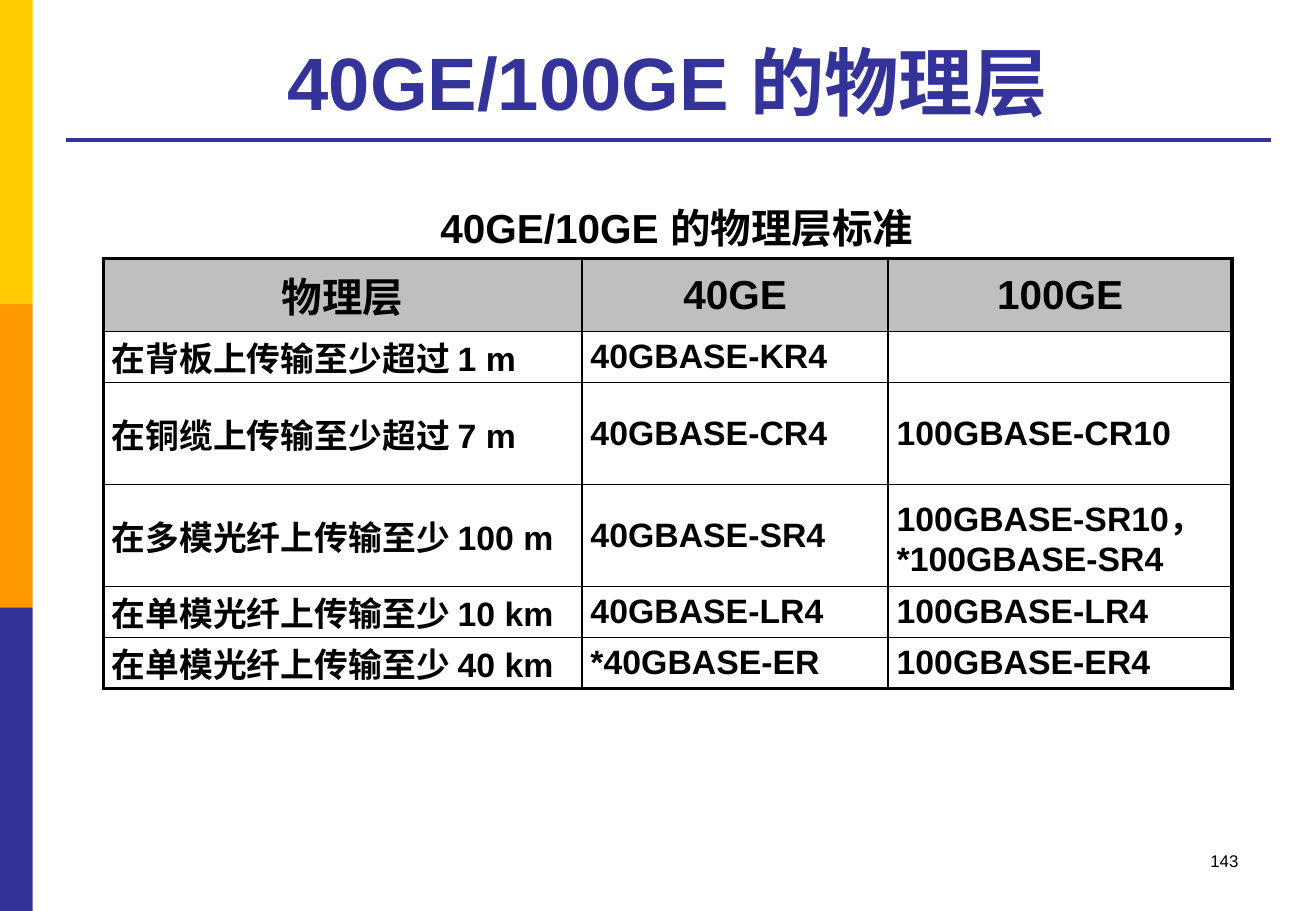
from lxml.etree import SubElement
from pptx import Presentation
from pptx.dml.color import RGBColor
from pptx.enum.shapes import MSO_CONNECTOR, MSO_SHAPE
from pptx.enum.text import MSO_ANCHOR, PP_ALIGN
from pptx.oxml.ns import qn
from pptx.util import Emu, Pt

EMU_PER_PX = 9144  # 100 px to the inch
COLORS = {
    "yellow": "FFCC00",
    "orange": "FF9900",
    "indigo": "333399",
    "header": "BFBFBF",
    "black": "000000",
}
THIN, THICK = 1, 2.25

COLUMN_WIDTHS = [394, 252, 283]
ROW_HEIGHTS = [60, 42, 84, 84, 42, 42]
STANDARDS = [
    ["物理层", "40GE", "100GE"],
    ["在背板上传输至少超过 1 m", "40GBASE-KR4", ""],
    ["在铜缆上传输至少超过 7 m", "40GBASE-CR4", "100GBASE-CR10"],
    ["在多模光纤上传输至少 100 m", "40GBASE-SR4", "100GBASE-SR10，\n*100GBASE-SR4"],
    ["在单模光纤上传输至少 10 km", "40GBASE-LR4", "100GBASE-LR4"],
    ["在单模光纤上传输至少 40 km", "*40GBASE-ER", "100GBASE-ER4"],
]


def px(length):
    return Emu(length * EMU_PER_PX)


def rgb(name):
    return RGBColor.from_string(COLORS[name])


def write_text(frame, text, size=20, color="black", bold=True,
               align=PP_ALIGN.CENTER):
    """Fill a text frame, one paragraph for each line of text."""
    frame.word_wrap = True
    frame.text = text
    for paragraph in frame.paragraphs:
        paragraph.alignment = align
        paragraph.font.size = Pt(size)
        for run in paragraph.runs:
            run.font.name = "Arial"
            run.font.size = Pt(size)
            run.font.bold = bold
            run.font.color.rgb = rgb(color)


def add_text(slide, box, text, anchor=MSO_ANCHOR.TOP, **text_format):
    shape = slide.shapes.add_textbox(*map(px, box))
    shape.text_frame.vertical_anchor = anchor
    write_text(shape.text_frame, text, **text_format)


def add_band(slide, box, color):
    shape = slide.shapes.add_shape(MSO_SHAPE.RECTANGLE, *map(px, box))
    shape.shadow.inherit = False
    shape.fill.solid()
    shape.fill.fore_color.rgb = rgb(color)
    shape.line.fill.background()


def add_rule(slide, left, right, y, color):
    line = slide.shapes.add_connector(
        MSO_CONNECTOR.STRAIGHT, px(left), px(y), px(right), px(y))
    line.line.color.rgb = rgb(color)
    line.line.width = Pt(THICK)
    SubElement(line._element.spPr, qn("a:effectLst"))


def set_borders(cell, **widths):
    """Draw black borders; sides come in the order L, R, T, B."""
    properties = cell._tc.get_or_add_tcPr()
    for side, width in widths.items():
        border = SubElement(properties, qn(f"a:ln{side}"), w=str(Pt(width)))
        fill = SubElement(border, qn("a:solidFill"))
        SubElement(fill, qn("a:srgbClr"), val=COLORS["black"])


def add_standards_table(slide, left, top):
    last_row, last_column = len(ROW_HEIGHTS) - 1, len(COLUMN_WIDTHS) - 1
    table = slide.shapes.add_table(
        len(ROW_HEIGHTS), len(COLUMN_WIDTHS), px(left), px(top),
        px(sum(COLUMN_WIDTHS)), px(sum(ROW_HEIGHTS))).table
    table.first_row = table.horz_banding = False
    for column, width in zip(table.columns, COLUMN_WIDTHS):
        column.width = px(width)

    for row_index, texts in enumerate(STANDARDS):
        table.rows[row_index].height = px(ROW_HEIGHTS[row_index])
        is_header = row_index == 0
        for column_index, text in enumerate(texts):
            cell = table.cell(row_index, column_index)
            cell.margin_left = cell.margin_right = px(7)
            cell.margin_top = cell.margin_bottom = 0
            cell.vertical_anchor = MSO_ANCHOR.MIDDLE
            # Thick frame outside, thin lines inside
            set_borders(
                cell,
                L=THICK if column_index == 0 else THIN,
                R=THICK if column_index == last_column else THIN,
                T=THICK if is_header else THIN,
                B=THICK if row_index == last_row else THIN)
            if is_header:
                cell.fill.solid()
                cell.fill.fore_color.rgb = rgb("header")
            else:
                cell.fill.background()
            write_text(cell.text_frame, text, size=24 if is_header else 20,
                       align=PP_ALIGN.CENTER if is_header else PP_ALIGN.JUSTIFY)


def main():
    presentation = Presentation()
    presentation.slide_width, presentation.slide_height = px(1083), px(750)
    slide = presentation.slides.add_slide(presentation.slide_layouts[6])

    # Side bands
    for index, color in enumerate(["yellow", "orange", "indigo"]):
        add_band(slide, (0, index * 250, 27, 250), color)

    # Title and its rule
    add_rule(slide, 54, 1046, 115, "indigo")
    add_text(slide, (54, 21, 991, 87), "40GE/100GE 的物理层",
             anchor=MSO_ANCHOR.BOTTOM, size=44, color="indigo")

    # Table and its caption
    add_standards_table(slide, 85, 213)
    add_text(slide, (195, 162, 724, 50), "40GE/10GE 的物理层标准",
             anchor=MSO_ANCHOR.MIDDLE, size=24)

    # Page number
    add_text(slide, (776, 695, 253, 50), "143",
             size=10, bold=False, align=PP_ALIGN.RIGHT)

    presentation.save("out.pptx")


if __name__ == "__main__":
    main()
